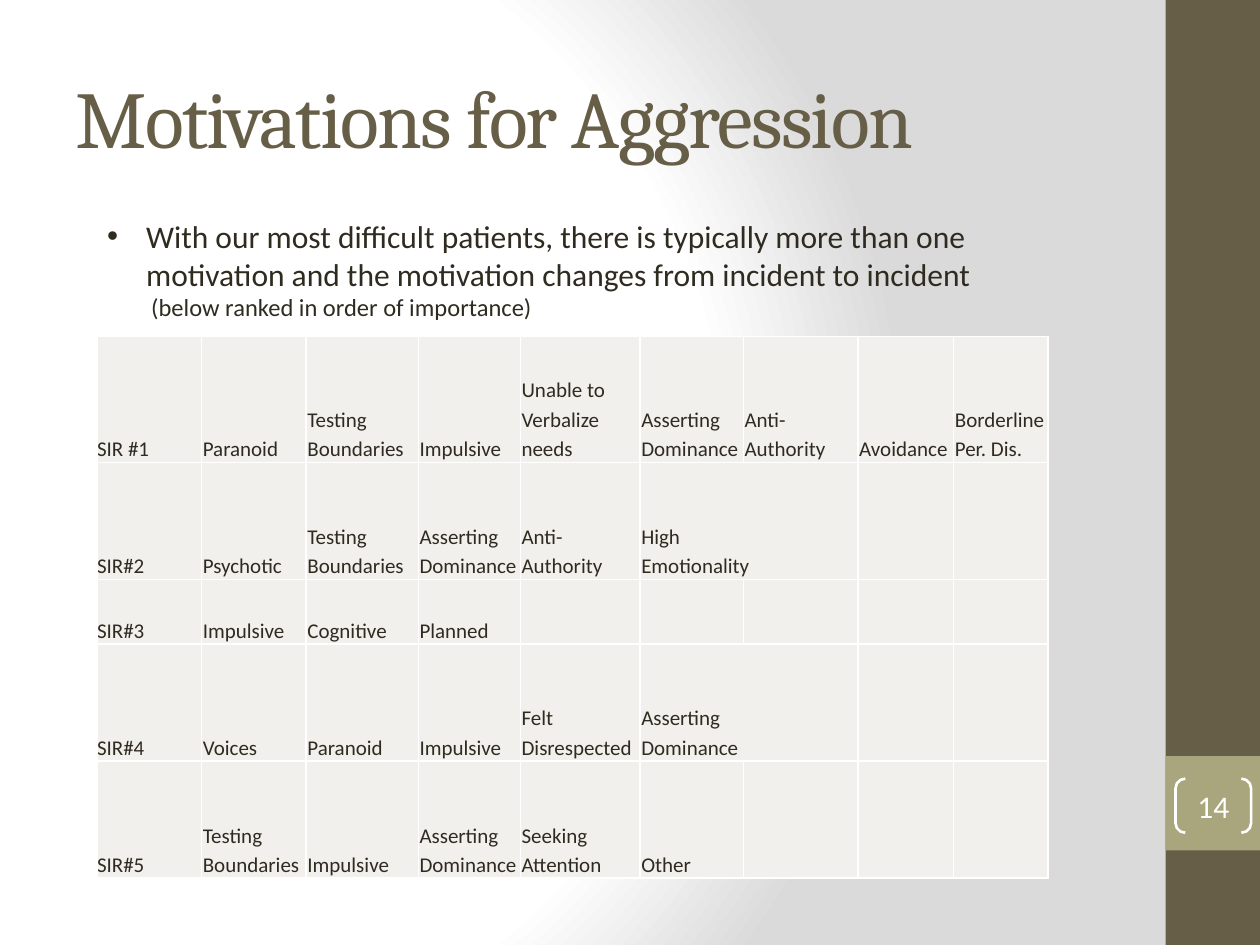
from lxml import etree
from pptx import Presentation, util as u
from pptx.dml.color import RGBColor
from pptx.enum import shapes, text
from pptx.oxml import parse_xml
from pptx.oxml.ns import nsdecls, qn

BROWN = RGBColor(0x67, 0x5E, 0x47)
OLIVE = RGBColor(0xA9, 0xA5, 0x7C)
INK = RGBColor(0x2F, 0x2B, 0x20)
WHITE = RGBColor(0xFF, 0xFF, 0xFF)
CELL = RGBColor(0xF1, 0xF0, 0xEC)

COLUMNS = [0.83, 0.83, 0.89, 0.81, 0.95, 0.82, 0.91, 0.76, 0.75]
ROWS = [1, 0.93, 0.51, 0.93, 0.93]
INCIDENTS = [
    ["SIR #1", "Paranoid", "Testing Boundaries", "Impulsive", "Unable to Verbalize needs",
     "Asserting Dominance", "Anti-Authority", "Avoidance", "Borderline Per. Dis."],
    ["SIR#2", "Psychotic", "Testing Boundaries", "Asserting Dominance", "Anti-Authority",
     "High\nEmotionality"],
    ["SIR#3", "Impulsive", "Cognitive", "Planned"],
    ["SIR#4", "Voices", "Paranoid", "Impulsive", "Felt\nDisrespected", "Asserting\nDominance"],
    ["SIR#5", "Testing Boundaries", "Impulsive", "Asserting Dominance", "Seeking\nAttention",
     "Other"],
]
WIDE_ROWS = (1, 3)  # rows whose sixth cell spans two columns


def add_run(paragraph, words, size, color, font="Calibri"):
    """Add one formatted run to a paragraph and return it."""
    run = paragraph.add_run()
    run.text = words
    run.font.size = u.Pt(size)
    run.font.name = font
    run.font.color.rgb = color
    return run


def add_block(slide, kind, left, top, width, height):
    """Add a preset shape without shadow, fill or line."""
    shape = slide.shapes.add_shape(kind, *map(u.Inches, (left, top, width, height)))
    shape.shadow.inherit = False
    shape.fill.background()
    shape.line.fill.background()
    return shape


presentation = Presentation()
presentation.slide_width, presentation.slide_height = u.Inches(10), u.Inches(7.5)
slide = presentation.slides.add_slide(presentation.slide_layouts[1])

# Background gradient
stops = "".join(
    f'<a:gs pos="{share * 1000}"><a:srgbClr val="{color}"/></a:gs>'
    for share, color in [(0, "FFFFFF"), (75, "FFFFFF"), (100, "DADADA")])
slide.element.cSld.insert(0, parse_xml(
    f'<p:bg {nsdecls("p", "a")}><p:bgPr><a:gradFill rotWithShape="1"><a:gsLst>{stops}</a:gsLst>'
    '<a:path path="circle"><a:fillToRect l="20000" t="50000" r="100000" b="50000"/></a:path>'
    '</a:gradFill><a:effectLst/></p:bgPr></p:bg>'))

# Side band and slide number
for top, height, color in [(0, 7.5, BROWN), (6, 0.75, OLIVE)]:
    band = add_block(slide, shapes.MSO_SHAPE.RECTANGLE, 9.25, top, 0.75, height)
    band.fill.solid()
    band.fill.fore_color.rgb = color

number = add_block(slide, shapes.MSO_SHAPE.DOUBLE_BRACKET, 9.33, 6.18, 0.6, 0.43)
number.adjustments[0] = 0.18
number.line.color.rgb = WHITE
number.line.width = u.Pt(1.5)
frame = number.text_frame
frame.margin_left = frame.margin_right = frame.margin_top = frame.margin_bottom = 0
frame.vertical_anchor = text.MSO_ANCHOR.MIDDLE
frame.paragraphs[0].alignment = text.PP_ALIGN.CENTER
add_run(frame.paragraphs[0], "14", 18, WHITE)

# Title and body
title, body = slide.placeholders
for placeholder, place in [(title, (0.5, 0.3, 8.33, 1.25)), (body, (0.75, 1.67, 7.92, 1.25))]:
    placeholder.left, placeholder.top, placeholder.width, placeholder.height = map(u.Inches, place)
    placeholder.text_frame.word_wrap = True
    placeholder.text_frame.auto_size = text.MSO_AUTO_SIZE.NONE

title.text_frame.vertical_anchor = text.MSO_ANCHOR.MIDDLE
paragraph = title.text_frame.paragraphs[0]
paragraph.alignment = text.PP_ALIGN.LEFT
run = add_run(paragraph, "Motivations for Aggression", 46, BROWN, "Cambria")
run.font._element.set("spc", "-100")

point = body.text_frame.paragraphs[0]
remark = body.text_frame.add_paragraph()
add_run(point, "With our most difficult patients, there is typically more than one motivation "
        "and the motivation changes from incident to incident", 18, INK)
add_run(remark, "(below ranked in order of importance)", 14, INK)
for paragraph, margin, indent, bullet in [(point, 0.31, -0.31, "•"), (remark, 0.35, 0, None)]:
    paragraph.space_before = u.Pt(0)
    properties = paragraph._p.get_or_add_pPr()
    properties.set("marL", str(u.Inches(margin)))
    properties.set("indent", str(u.Inches(indent)))
    if bullet:
        etree.SubElement(properties, qn("a:buFont"), typeface="Arial")
        etree.SubElement(properties, qn("a:buChar"), char=bullet)
    else:
        etree.SubElement(properties, qn("a:buNone"))

# Table of incidents
table = slide.shapes.add_table(
    len(ROWS), len(COLUMNS), u.Inches(0.77), u.Inches(2.67),
    u.Inches(sum(COLUMNS)), u.Inches(sum(ROWS))).table
table.first_row = table.horz_banding = False
for column, width in zip(table.columns, COLUMNS):
    column.width = u.Inches(width)
for row, height in zip(table.rows, ROWS):
    row.height = u.Inches(height)

for row_index, motivations in enumerate(INCIDENTS):
    for column_index in range(len(COLUMNS)):
        cell = table.cell(row_index, column_index)
        inset = u.Inches(0.01 if column_index else 0)
        cell.margin_left = cell.margin_right = cell.margin_top = inset
        cell.margin_bottom = 0
        cell.vertical_anchor = text.MSO_ANCHOR.BOTTOM
        for side in ("lnL", "lnR", "lnT", "lnB"):
            cell._tc.get_or_add_tcPr().append(parse_xml(
                f'<a:{side} {nsdecls("a")} w="12700"><a:solidFill>'
                f'<a:srgbClr val="{WHITE}"/></a:solidFill></a:{side}>'))
        cell.fill.solid()
        cell.fill.fore_color.rgb = CELL
        if column_index >= len(motivations):
            continue
        for line_index, line in enumerate(motivations[column_index].split("\n")):
            frame = cell.text_frame
            paragraph = frame.add_paragraph() if line_index else frame.paragraphs[0]
            paragraph.line_spacing = 1.15
            add_run(paragraph, line, 12, INK)

for row_index in WIDE_ROWS:
    table.cell(row_index, 5).merge(table.cell(row_index, 6))

presentation.save("out.pptx")
